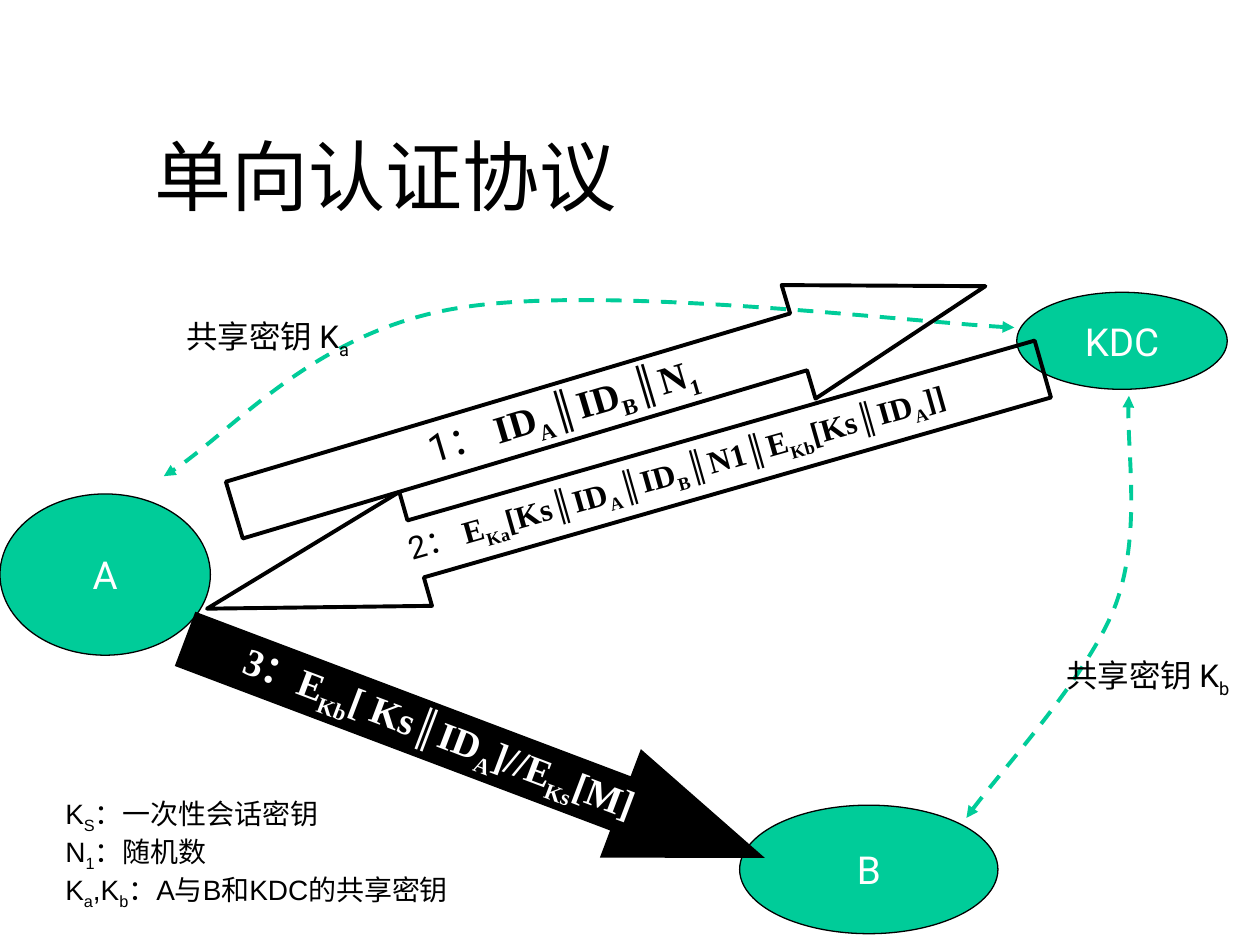
"""Build the one-way authentication protocol slide."""
import math

import pptx
import pptx.dml.color
import pptx.enum.dml
import pptx.enum.shapes
import pptx.enum.text
import pptx.oxml.ns
import pptx.util
from lxml import etree
from pptx.util import Inches

COLORS = {"green": "00CC99", "black": "000000", "white": "FFFFFF"}
SHAPE = pptx.enum.shapes.MSO_SHAPE
ALIGN = pptx.enum.text.PP_ALIGN
ANCHOR = pptx.enum.text.MSO_ANCHOR
AUTO = pptx.enum.text.MSO_AUTO_SIZE
SERIF = "Times New Roman"


def rgb(name):
    return pptx.dml.color.RGBColor.from_string(COLORS[name])


def box(at):
    return [Inches(v) for v in at]


def set_attrs(obj, values):
    for name, value in values.items():
        setattr(obj, name, value)


def add_runs(p, text, size, font, color="black", bold=False):
    """Add runs, with subscripts written between underscores."""
    for i, part in enumerate(text.split("_")):
        if not part:
            continue
        r = p.add_run()
        r.text = part
        set_attrs(r.font, {"size": pptx.util.Pt(size), "name": font, "bold": bold})
        r.font.color.rgb = rgb(color)
        if i % 2:
            r._r.get_or_add_rPr().set("baseline", "-25000")


def format_frame(tf, anchor=ANCHOR.MIDDLE, wrap=False, auto=AUTO.NONE):
    set_attrs(tf, {
        "auto_size": auto, "word_wrap": wrap, "vertical_anchor": anchor,
        "margin_left": Inches(0.1), "margin_right": Inches(0.1),
        "margin_top": Inches(0.05), "margin_bottom": Inches(0.05)})


def add_title(s, text):
    title = s.shapes.title
    set_attrs(title, dict(zip(("left", "top", "width", "height"),
                              box((1.13, 0.81, 8.5, 1.15)))))
    format_frame(title.text_frame, wrap=True)
    p = title.text_frame.paragraphs[0]
    p.alignment = ALIGN.LEFT
    add_runs(p, text, 44, SERIF)


def add_shape(s, kind, at, fill=None, line=None, rotation=0):
    """Add a preset shape and return it with its centred paragraph."""
    sp = s.shapes.add_shape(kind, *box(at))
    sp.shadow.inherit = False
    sp.rotation = rotation
    if fill:
        sp.fill.solid()
        sp.fill.fore_color.rgb = rgb(fill)
    else:
        sp.fill.background()
    if line:
        sp.line.color.rgb = rgb("black")
        sp.line.width = pptx.util.Pt(line)
    else:
        sp.line.fill.background()
    format_frame(sp.text_frame)
    p = sp.text_frame.paragraphs[0]
    p.alignment = ALIGN.CENTER
    return sp, p


def add_party(s, name, at):
    _, p = add_shape(s, SHAPE.OVAL, at, "green", 0.75)
    add_runs(p, name, 22, "Roboto", "white")


def add_message(s, kind, at, rotation, head, runs, fill=None, line=None):
    sp, p = add_shape(s, kind, at, fill, line, rotation)
    sp.adjustments[0], sp.adjustments[1] = 0.5, head
    for run in runs:
        add_runs(p, **run)


def add_text(s, at, lines, size, font, align=ALIGN.LEFT, **frame):
    tf = s.shapes.add_textbox(*box(at)).text_frame
    format_frame(tf, **frame)
    for i, line in enumerate(lines):
        p = tf.add_paragraph() if i else tf.paragraphs[0]
        p.alignment = align
        add_runs(p, line, size, font)


def add_key_curve(s, points, rotation=0, center=(0, 0)):
    """Add a dashed double-headed Bezier curve, turned about its center."""
    cos, sin = math.cos(math.radians(rotation)), math.sin(math.radians(rotation))
    cx, cy = center
    turned = [(Inches(cx + (x - cx) * cos + (y - cy) * sin),
               Inches(cy - (x - cx) * sin + (y - cy) * cos)) for x, y in points]
    builder = s.shapes.build_freeform(*turned[0])
    builder.add_line_segments(turned[1:], close=False)
    sp = builder.convert_to_shape()
    sp.rotation = rotation
    sp.shadow.inherit = False
    sp.fill.background()
    sp.line.color.rgb = rgb("green")
    set_attrs(sp.line, {"width": pptx.util.Pt(2.25),
                        "dash_style": pptx.enum.dml.MSO_LINE.DASH})
    qn = pptx.oxml.ns.qn
    segments = list(sp._element.iter(qn("a:lnTo")))
    for i in range(0, len(segments), 3):
        curve = etree.SubElement(segments[i].getparent(), qn("a:cubicBezTo"))
        for segment in segments[i:i + 3]:
            curve.append(segment[0])
            segment.getparent().remove(segment)
    ln = sp._element.spPr.find(qn("a:ln"))
    for end in ("a:headEnd", "a:tailEnd"):
        etree.SubElement(ln, qn(end)).set("type", "triangle")


def main():
    prs = pptx.Presentation()
    set_attrs(prs, {"slide_width": Inches(10), "slide_height": Inches(7.5)})
    s = prs.slides.add_slide(prs.slide_layouts[5])
    add_title(s, "单向认证协议")

    for name, at in (("A", (0, 3.92, 1.67, 1.28)),
                     ("KDC", (8.07, 2.32, 1.67, 0.77)),
                     ("B", (5.87, 6.39, 2.05, 1.02))):
        add_party(s, name, at)

    add_key_curve(s, [(8.05, 2.6), (7.31, 2.57), (4.74, 2.25), (3.61, 2.45),
                      (2.49, 2.64), (1.78, 3.5), (1.3, 3.78)])
    add_key_curve(s, [(7.67, 6.49), (7.86, 6.21), (8.63, 5.37), (8.85, 4.81),
                      (9.06, 4.25), (8.93, 3.49), (8.96, 3.14)],
                  28.4, (8.455, 4.89))
    for key, at, wrap in (("a", (1.35, 2.47, 1.55, 0.44), False),
                          ("b", (8.22, 5.16, 1.78, 0.44), True)):
        add_text(s, at, [f"共享密钥 K_{key}_"], 18, "Roboto", ALIGN.CENTER,
                 anchor=ANCHOR.TOP, wrap=wrap, auto=AUTO.SHAPE_TO_FIT_TEXT)

    add_message(s, SHAPE.LEFT_ARROW, (1.51, 3.41, 6.9, 0.94), 344, 1.832, [
        {"text": "2： ", "size": 18, "font": "Roboto"},
        {"text": "E_Ka_[Ks∥ID_A_∥ID_B_∥N1∥E_Kb_[Ks∥ID_A_]]",
         "size": 18, "font": SERIF, "bold": True}], line=2.25)
    add_message(s, SHAPE.RIGHT_ARROW, (1.31, 5.48, 4.92, 0.92), 20.7, 1.333, [
        {"text": "3：E_Kb_[ Ks∥ID_A_]//E_Ks_[M]", "size": 22, "font": SERIF,
         "color": "white", "bold": True}], fill="black")
    add_message(s, SHAPE.RIGHT_ARROW, (1.73, 2.69, 6.22, 0.94), 343.4, 1.645, [
        {"text": "1： ", "size": 22, "font": "Roboto"},
        {"text": "ID_A_∥ID_B_∥N_1_", "size": 22, "font": SERIF, "bold": True}],
        line=2.25)

    add_text(s, (0.42, 6.1, 3.62, 1.35),
             ["K_S_：一次性会话密钥", "N_1_：随机数",
              "K_a_,K_b_：A与B和KDC的共享密钥"], 16, "Arial")
    prs.save("out.pptx")


if __name__ == "__main__":
    main()
